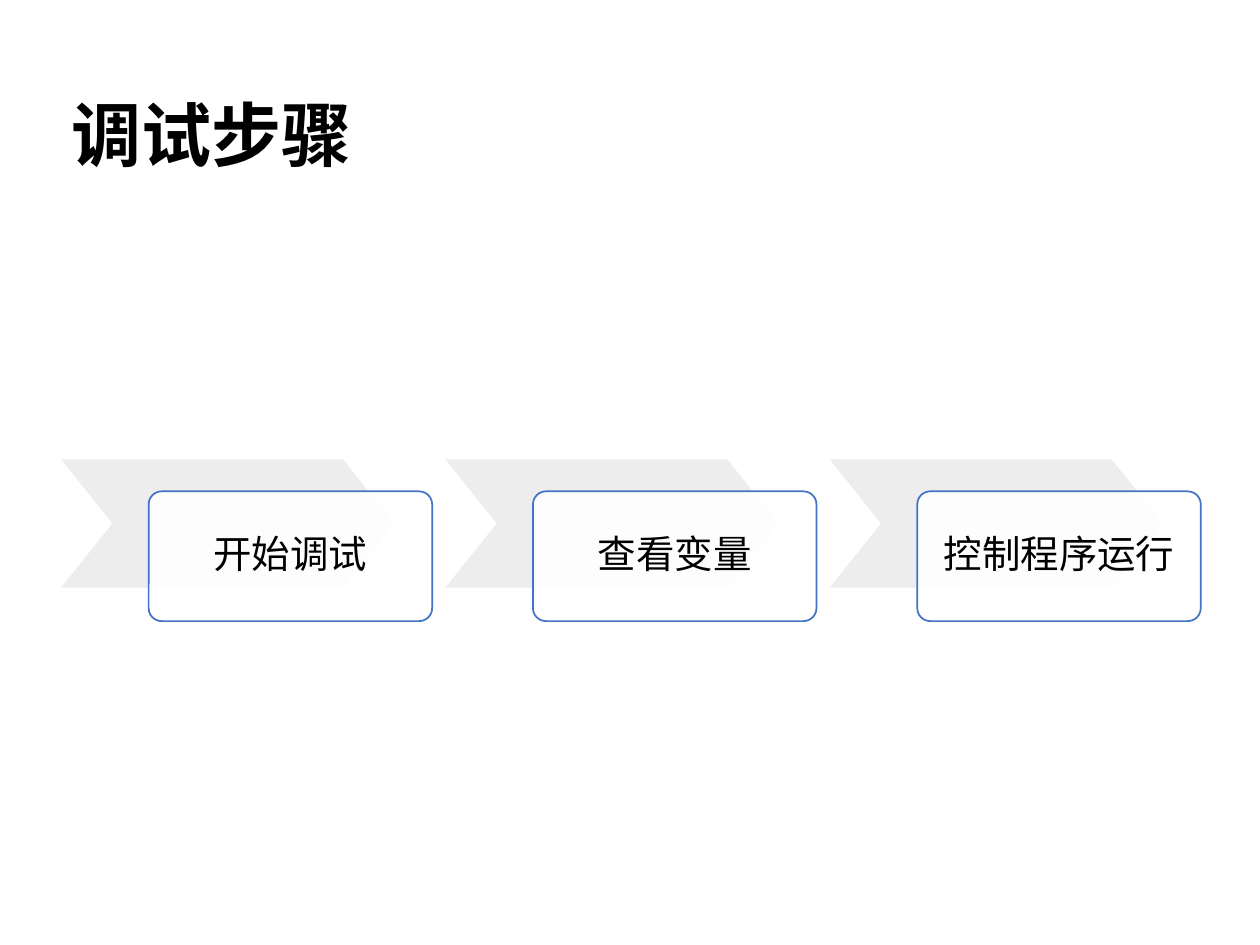
from lxml.etree import SubElement
from pptx import Presentation
from pptx.dml.color import RGBColor
from pptx.enum.shapes import MSO_SHAPE
from pptx.enum.text import MSO_ANCHOR, PP_ALIGN
from pptx.oxml.ns import qn
from pptx.util import Inches, Pt

BLACK = RGBColor(0, 0, 0)
WHITE = RGBColor(255, 255, 255)
GRAY = RGBColor(0xED, 0xED, 0xED)
BLUE = RGBColor(0x44, 0x72, 0xC4)

STEPS = ["开始调试", "查看变量", "控制程序运行"]
LEFT, TOP, PITCH = 0.47, 3.64, 3.05


def set_text(frame, text, size, align, anchor, bold=False):
    frame.text = text
    frame.word_wrap = True
    frame.vertical_anchor = anchor
    para = frame.paragraphs[0]
    para.alignment = align
    para.line_spacing = 0.9
    font = para.font
    font.name = "Calibri"
    font.size = Pt(size)
    font.bold = bold
    font.color.rgb = BLACK


def add_title(slide, text):
    title = slide.shapes.title
    title.left, title.top = Inches(0.47), Inches(0.47)
    title.width, title.height = Inches(9), Inches(0.98)
    set_text(title.text_frame, text, 40, PP_ALIGN.LEFT, MSO_ANCHOR.BOTTOM, True)


def add_block(slide, kind, left, top, width, adjust, fill, line):
    block = slide.shapes.add_shape(
        kind, Inches(left), Inches(top), Inches(width), Inches(1.03))
    block.adjustments[0] = adjust
    block.shadow.inherit = False
    block.fill.solid()
    block.fill.fore_color.rgb = fill
    block.line.color.rgb = line
    block.line.width = Pt(1)
    return block


def set_alpha(shape, percent):
    color = shape.fill._xPr.find(qn("a:solidFill"))[0]
    SubElement(color, qn("a:alpha")).set("val", str(percent * 1000))


def add_step(slide, left, text):
    """Draw a chevron with a labelled card overlapping its lower right."""
    add_block(slide, MSO_SHAPE.CHEVRON, left, TOP, 2.67, 0.4, GRAY, WHITE)
    card = add_block(slide, MSO_SHAPE.ROUNDED_RECTANGLE,
                     left + 0.71, TOP + 0.26, 2.25, 0.1, WHITE, BLUE)
    set_alpha(card, 90)
    frame = card.text_frame
    frame.margin_left = frame.margin_right = Inches(0.17)
    frame.margin_top = frame.margin_bottom = Inches(0.17)
    set_text(frame, text, 22, PP_ALIGN.CENTER, MSO_ANCHOR.MIDDLE)


def main():
    deck = Presentation()
    deck.slide_width, deck.slide_height = Inches(10), Inches(7.5)
    slide = deck.slides.add_slide(deck.slide_layouts[5])
    add_title(slide, "调试步骤")
    for i, text in enumerate(STEPS):
        add_step(slide, LEFT + i * PITCH, text)
    deck.save("out.pptx")


if __name__ == "__main__":
    main()
